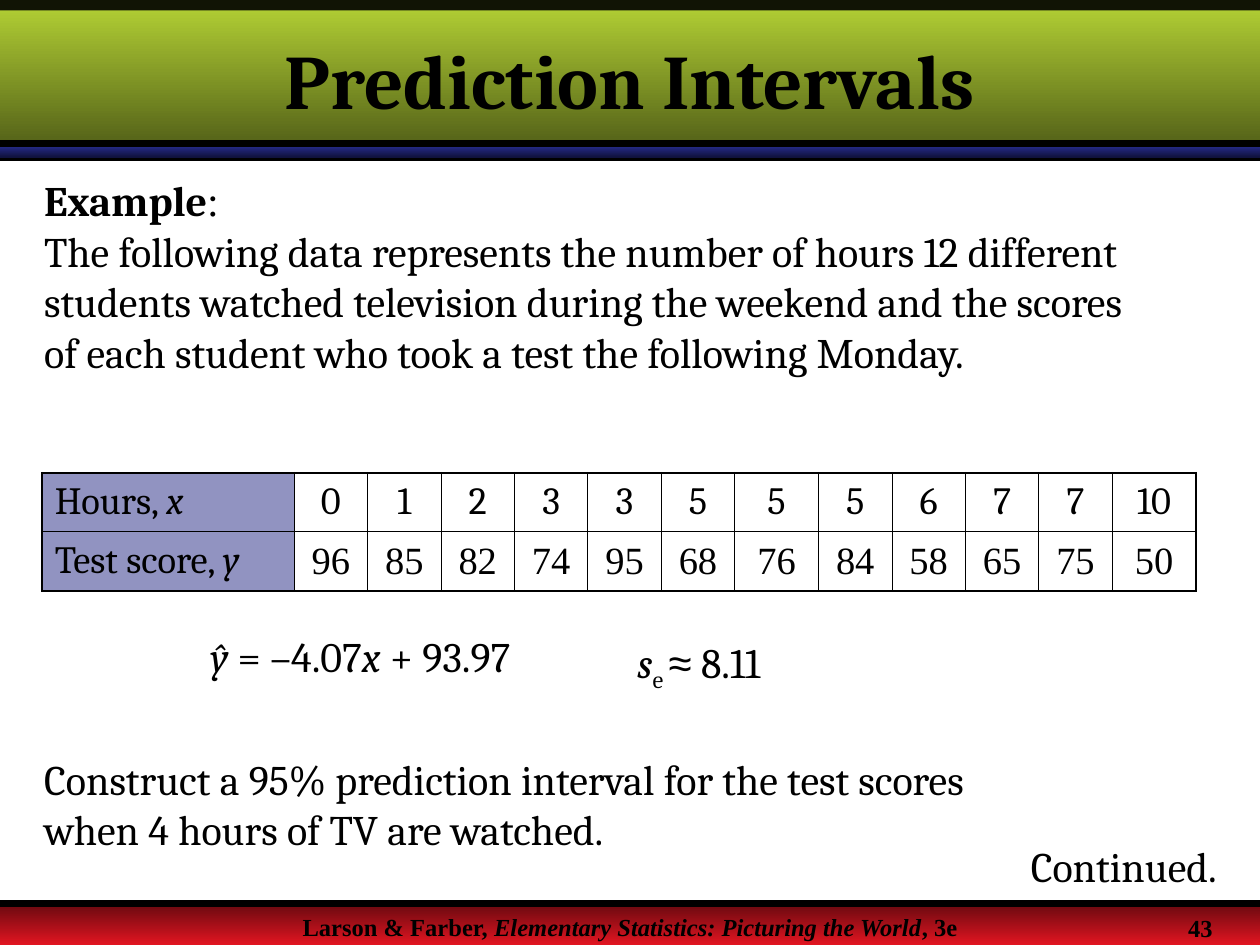
from lxml import etree
from pptx import Presentation
from pptx.dml.color import RGBColor
from pptx.enum.shapes import MSO_CONNECTOR, MSO_SHAPE
from pptx.enum.text import MSO_ANCHOR, MSO_AUTO_SIZE, PP_ALIGN
from pptx.oxml.ns import qn
from pptx.util import Cm, Pt

RECTANGLE = MSO_SHAPE.RECTANGLE
STRAIGHT = MSO_CONNECTOR.STRAIGHT
MIDDLE = MSO_ANCHOR.MIDDLE
NO_AUTOSIZE = MSO_AUTO_SIZE.NONE
LEFT, CENTER = PP_ALIGN.LEFT, PP_ALIGN.CENTER

SERIF, TIMES, SANS = "Cambria", "Times New Roman", "Arial"
BLACK, NAVY = "000000", "242985"
WIDTH, HEIGHT = 25.4, 19.05
OUTER, INNER = 1.08, 0.45

HOURS = [0, 1, 2, 3, 3, 5, 5, 5, 6, 7, 7, 10]
SCORES = [96, 85, 82, 74, 95, 68, 76, 84, 58, 65, 75, 50]
COLUMN_WIDTHS = [5.08] + [1.48] * 6 + [1.69] + [1.48] * 4 + [1.69]


def color(value):
    return RGBColor.from_string(value)


def set_alpha(fill_parent, percent):
    rgb = fill_parent.find(qn("a:solidFill")).find(qn("a:srgbClr"))
    etree.SubElement(rgb, qn("a:alpha")).set("val", str(percent * 1000))


class SlideBuilder:
    def __init__(self, slide, font=SERIF, size=24):
        self.slide = slide
        self.font = font
        self.size = size

    def add_runs(self, paragraph, runs, align=LEFT, **style):
        paragraph.alignment = align
        for text, changes in runs:
            look = {**style, **changes}
            run = paragraph.add_run()
            run.text = text
            run.font.name = look.get("font", self.font)
            run.font.size = Pt(look.get("size", self.size))
            run.font.bold = look.get("bold", False)
            run.font.italic = look.get("italic", False)
            run.font.color.rgb = color(BLACK)
            if "baseline" in look:
                run.font._element.set("baseline", str(look["baseline"] * 1000))

    def band(self, top, height, fill, end=None, alpha=None):
        shape = self.slide.shapes.add_shape(RECTANGLE, 0, Cm(top), Cm(WIDTH), Cm(height))
        shape.shadow.inherit = False
        shape.line.fill.background()
        if end:
            shape.fill.gradient()
            shape.fill.gradient_angle = 270
            for stop, value in zip(shape.fill.gradient_stops, (fill, end)):
                stop.color.rgb = color(value)
        else:
            shape.fill.solid()
            shape.fill.fore_color.rgb = color(fill)
        if alpha:
            set_alpha(shape.element.spPr, alpha)

    def rule(self, top):
        connector = self.slide.shapes.add_connector(STRAIGHT, 0, Cm(top), Cm(WIDTH), Cm(top))
        connector.line.color.rgb = color(BLACK)
        connector.line.width = Pt(4)
        etree.SubElement(connector.element.spPr, qn("a:effectLst"))

    def title(self, text, top, height):
        title = self.slide.shapes.title
        title.left, title.top = 0, Cm(top)
        title.width, title.height = Cm(WIDTH), Cm(height)
        title.text_frame.vertical_anchor = MIDDLE
        title.text_frame.auto_size = NO_AUTOSIZE
        self.add_runs(title.text_frame.paragraphs[0], [(text, {})], CENTER, size=44, bold=True)
        title.element.getparent().append(title.element)

    def text(self, left, top, width, height, paragraphs, align=LEFT, spacing=None, **style):
        box = self.slide.shapes.add_textbox(Cm(left), Cm(top), Cm(width), Cm(height))
        frame = box.text_frame
        frame.word_wrap = True
        for index, runs in enumerate(paragraphs):
            paragraph = frame.add_paragraph() if index else frame.paragraphs[0]
            if spacing:
                paragraph.line_spacing = spacing
            self.add_runs(paragraph, runs, align, **style)

    def border(self, cell, side, width):
        properties = cell._tc.get_or_add_tcPr()
        line = etree.SubElement(properties, qn(f"a:ln{side}"), w=str(Pt(width)))
        fill = etree.SubElement(line, qn("a:solidFill"))
        etree.SubElement(fill, qn("a:srgbClr"), val=BLACK)

    def table(self, left, top, row_height, widths, rows):
        last_row, last_column = len(rows) - 1, len(widths) - 1
        table = self.slide.shapes.add_table(
            len(rows), len(widths), Cm(left), Cm(top),
            Cm(sum(widths)), Cm(row_height * len(rows))).table
        table.first_row = table.horz_banding = False
        for column, width in zip(table.columns, widths):
            column.width = Cm(width)
        for row_index, (label, variable, values, font) in enumerate(rows):
            table.rows[row_index].height = Cm(row_height)
            label_runs = [(label, {}), (variable, {"italic": True})]
            cells = [label_runs] + [[(str(value), {"font": font})] for value in values]
            for column_index, runs in enumerate(cells):
                cell = table.cell(row_index, column_index)
                cell.vertical_anchor = MIDDLE
                edges = {"L": column_index == 0, "R": column_index == last_column,
                         "T": row_index == 0, "B": row_index == last_row}
                for side, is_outer in edges.items():
                    self.border(cell, side, OUTER if is_outer else INNER)
                if column_index:
                    cell.fill.background()
                else:
                    cell.fill.solid()
                    cell.fill.fore_color.rgb = color(NAVY)
                    set_alpha(cell._tc.tcPr, 50)
                self.add_runs(cell.text_frame.paragraphs[0], runs,
                              CENTER if column_index else LEFT, size=22)


def main():
    presentation = Presentation()
    presentation.slide_width, presentation.slide_height = Cm(WIDTH), Cm(HEIGHT)
    slide = presentation.slides.add_slide(presentation.slide_layouts[5])
    builder = SlideBuilder(slide)
    italic = {"italic": True}

    builder.band(18.21, 0.84, "67090F", "E11521")
    builder.rule(3.18)
    builder.text(0, 18.26, WIDTH, 0.51, [[
        ("Larson & Farber, ", {}),
        ("Elementary Statistics: Picturing the World", italic),
        (", 3e", {}),
    ]], CENTER, font=TIMES, size=14, bold=True)
    builder.band(2.96, 0.21, NAVY, "10123D")
    builder.band(0, 2.96, "B5D335", "536118")
    builder.rule(18.21)
    builder.band(0, 0.21, BLACK, alpha=90)
    builder.rule(2.9)
    builder.text(23.7, 18.29, 1.6, 0.76, [[("43", {})]], font=TIMES, size=14, bold=True)
    builder.title("Prediction Intervals", 0.21, 2.75)

    builder.table(0.85, 9.53, 1.19, COLUMN_WIDTHS, [
        ("Hours, ", "x", HOURS, SERIF),
        ("Test score, ", "y", SCORES, TIMES),
    ])

    builder.text(0.64, 3.4, 22.86, 5.33, [
        [("Example", {"bold": True}), (":", {"font": TIMES})],
        [("The following data represents the number of hours 12 different students "
          "watched television during the weekend and the scores of each student "
          "who took a test the following Monday.", {})],
    ])
    builder.text(20.53, 16.81, 4.83, 1.27, [[("Continued.", {})]])
    builder.text(0.64, 15.06, 21.11, 2.29, [[
        ("Construct a 95% prediction interval for the test scores "
         "when 4 hours of TV are watched.", {}),
    ]])
    builder.text(3.99, 12.7, 7.54, 1.17, [[
        ("ŷ", italic), (" = –4.07", {}), ("x", italic), (" + 93.97", {}),
    ]], spacing=0.9)
    builder.text(12.6, 12.7, 4.14, 1.42, [[
        ("s", italic), ("e ", {"baseline": -25}), ("≈", {"font": SANS}), (" 8.11", {}),
    ]])
    presentation.save("out.pptx")


if __name__ == "__main__":
    main()
